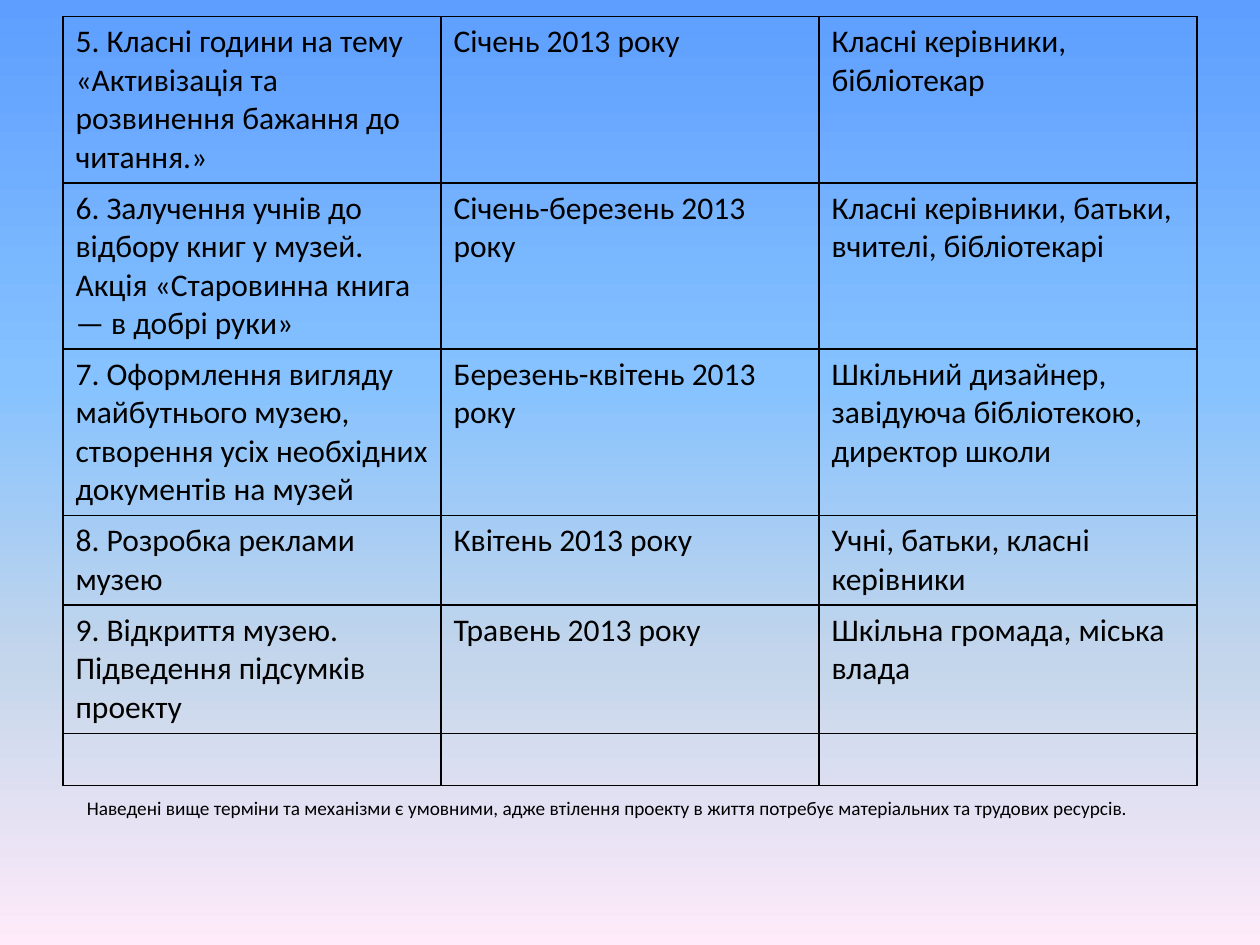
from lxml import etree
from pptx import Presentation
from pptx.dml.color import RGBColor
from pptx.enum import text
from pptx.oxml import ns
from pptx.util import Inches, Pt

FONT = "Calibri"
COLORS = {
    "ink": "000000",
    "sky": "5E9EFF",
    "light_sky": "85C2FF",
    "mist": "C4D6EB",
    "blush": "FFEBFA",
}
BACKGROUND_STOPS = [(0, "sky"), (40, "light_sky"), (70, "mist"), (100, "blush")]

# Each row: height in inches, then activity, term and people in charge
PLAN = [
    (1.32, "5. Класні години на тему «Активізація та розвинення бажання до читання.»",
     "Січень 2013 року", "Класні керівники, бібліотекар"),
    (1.32, "6. Залучення учнів до відбору книг у музей. Акція «Старовинна книга — в добрі руки»",
     "Січень-березень 2013 року", "Класні керівники, батьки, вчителі, бібліотекарі"),
    (1.32, "7. Оформлення вигляду майбутнього музею, створення усіх необхідних документів на музей",
     "Березень-квітень 2013 року", "Шкільний дизайнер, завідуюча бібліотекою, директор школи"),
    (0.71, "8. Розробка реклами музею",
     "Квітень 2013 року", "Учні, батьки, класні керівники"),
    (1.02, "9. Відкриття музею. Підведення підсумків проекту",
     "Травень 2013 року", "Шкільна громада, міська влада"),
    (0.41, "", "", ""),
]
NOTE = ("Наведені вище терміни та механізми є умовними, адже втілення проекту "
        "в життя потребує матеріальних та трудових ресурсів.")


def add_element(parent, tag, **attributes):
    return etree.SubElement(parent, ns.qn(tag), **attributes)


def format_text(text_frame, size):
    for paragraph in text_frame.paragraphs:
        paragraph.font.size = Pt(size)
        for run in paragraph.runs:
            run.font.size = Pt(size)
            run.font.name = FONT
            run.font.color.rgb = RGBColor.from_string(COLORS["ink"])


def paint_background(slide):
    fill = slide.background.fill
    fill.gradient()
    fill.gradient_angle = 270
    stops = next(slide.element.iter(ns.qn("a:gsLst")))
    for stop in list(stops):
        stops.remove(stop)
    for position, color in BACKGROUND_STOPS:
        stop = add_element(stops, "a:gs", pos=str(position * 1000))
        add_element(stop, "a:srgbClr", val=COLORS[color])


def add_borders(cell):
    properties = cell._tc.get_or_add_tcPr()
    for side in "LRTB":
        line = add_element(properties, f"a:ln{side}", w=str(Pt(1)))
        fill = add_element(line, "a:solidFill")
        add_element(fill, "a:srgbClr", val=COLORS["ink"])


def add_plan_table(slide, left, top, width, height):
    columns = len(PLAN[0]) - 1
    table = slide.shapes.add_table(len(PLAN), columns, left, top, width, height).table
    table.first_row = False
    table.horz_banding = False
    for column in table.columns:
        column.width = width // columns
    for row, (row_height, *entries) in zip(table.rows, PLAN):
        row.height = Inches(row_height)
        for cell, entry in zip(row.cells, entries):
            cell.text_frame.text = entry
            format_text(cell.text_frame, 18)
            add_borders(cell)
            cell.fill.background()


def add_note(slide, left, top, width, height):
    text_frame = slide.shapes.add_textbox(left, top, width, height).text_frame
    text_frame.word_wrap = True
    text_frame.auto_size = text.MSO_AUTO_SIZE.SHAPE_TO_FIT_TEXT
    text_frame.text = NOTE
    format_text(text_frame, 11)


def main():
    presentation = Presentation()
    presentation.slide_width = Inches(10)
    presentation.slide_height = Inches(7.5)
    slide = presentation.slides.add_slide(presentation.slide_layouts[6])

    paint_background(slide)
    # Schedule of activities
    table_height = sum(row[0] for row in PLAN)
    add_plan_table(slide, Inches(0.5), Inches(0.13), Inches(9), Inches(table_height))
    # Remark below the table
    add_note(slide, Inches(0.59), Inches(6.27), Inches(8.58), Inches(0.29))

    presentation.save("out.pptx")


if __name__ == "__main__":
    main()
